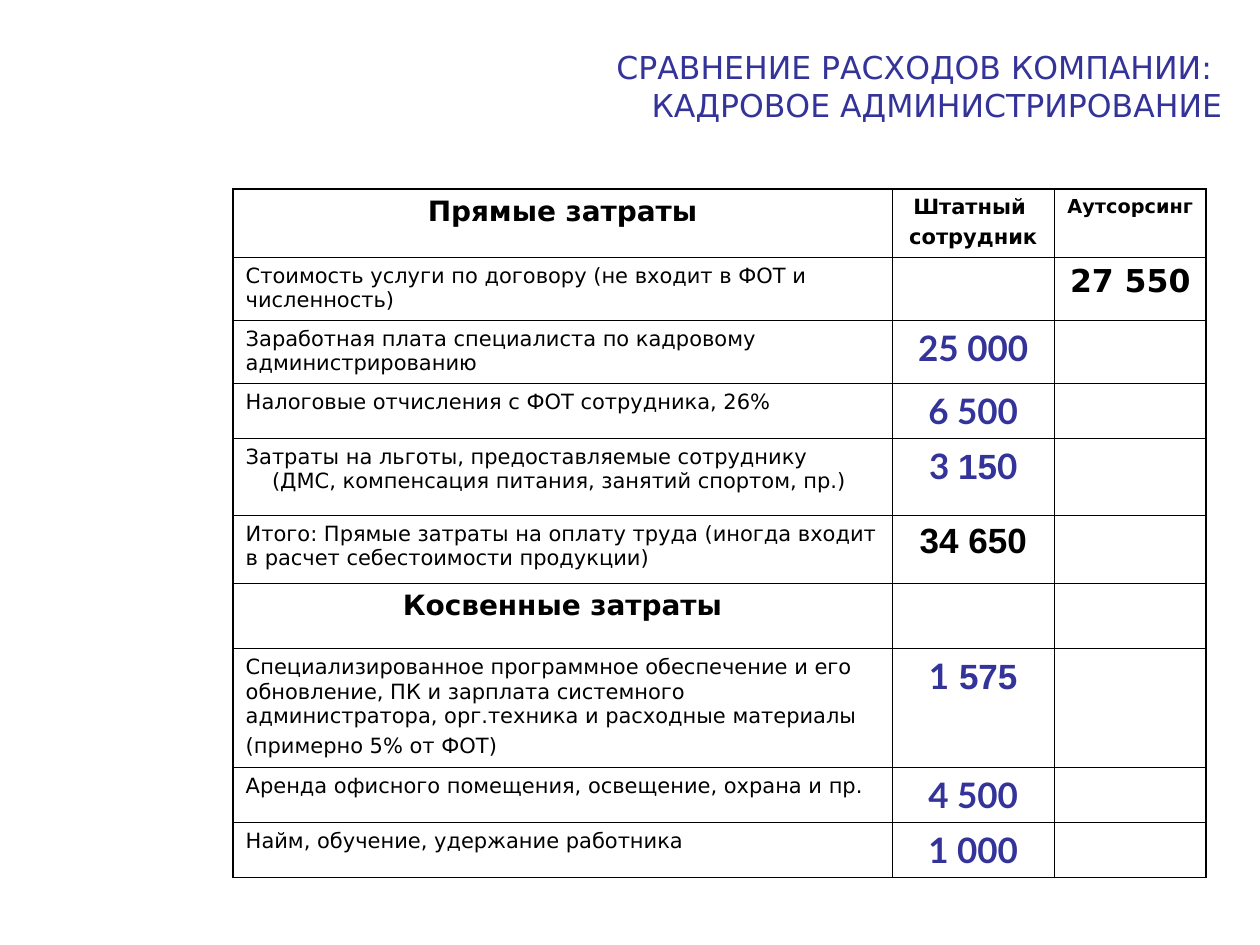
from lxml import etree
from pptx import Presentation
from pptx.dml.color import RGBColor
from pptx.enum.text import MSO_ANCHOR, PP_ALIGN
from pptx.oxml.ns import qn
from pptx.util import Cm, Pt

LEFT, CENTER, RIGHT = PP_ALIGN.LEFT, PP_ALIGN.CENTER, PP_ALIGN.RIGHT
MIDDLE = MSO_ANCHOR.MIDDLE

COLORS = {"accent": "333399", "ink": "000000"}
SANS, LATO, ARIAL = "DejaVu Sans", "Lato", "Arial"
STYLES = {
    "title": (18, False, "accent", RIGHT),
    "section": (16, True, "ink", CENTER),
    "staff": (12, True, "ink", CENTER),
    "outsourcing": (11, True, "ink", CENTER),
    "item": (12, False, "ink", LEFT),
    "price": (18, True, "ink", CENTER),
    "cost": (20, True, "accent", CENTER),
    "total": (20, True, "ink", CENTER),
}

TITLE = "СРАВНЕНИЕ РАСХОДОВ КОМПАНИИ: \vКАДРОВОЕ АДМИНИСТРИРОВАНИЕ"
BENEFITS_NOTE = "(ДМС, компенсация питания, занятий спортом, пр.)"
COLUMN_WIDTHS = [13.28, 3.28, 3.05]


def cell_text(style, *paragraphs, font=SANS):
    return style, [[(p, font)] if isinstance(p, str) else p for p in paragraphs]


ROWS = [
    (1.37, [cell_text("section", "Прямые затраты"),
            cell_text("staff", "Штатный ", "сотрудник"),
            cell_text("outsourcing", "Аутсорсинг")]),
    (1.27, [cell_text("item", "Стоимость услуги по договору (не входит в ФОТ и численность)"),
            None,
            cell_text("price", "27 550")]),
    (1.27, [cell_text("item", "Заработная плата специалиста по кадровому администрированию"),
            cell_text("cost", "25 000", font=LATO)]),
    (1.11, [cell_text("item", "Налоговые отчисления с ФОТ сотрудника, 26%"),
            cell_text("cost", "6 500", font=LATO)]),
    (1.55, [cell_text("item", "Затраты на льготы, предоставляемые сотруднику", BENEFITS_NOTE),
            cell_text("cost", [("3 ", LATO), ("15", ARIAL), ("0", LATO)])]),
    (1.37, [cell_text("item", "Итого: Прямые затраты на оплату труда (иногда входит "
                              "в расчет себестоимости продукции)"),
            cell_text("total", "34 650", font=ARIAL)]),
    (1.32, [cell_text("section", "Косвенные затраты")]),
    (2.39, [cell_text("item", "Специализированное программное обеспечение и его обновление, "
                              "ПК и зарплата системного администратора, "
                              "орг.техника и расходные материалы",
                      "(примерно 5% от ФОТ)"),
            cell_text("cost", [("1", LATO), (" 575", ARIAL)])]),
    (1.11, [cell_text("item", "Аренда офисного помещения, освещение, охрана и пр."),
            cell_text("cost", "4 500", font=LATO)]),
    (1.11, [cell_text("item", "Найм, обучение, удержание работника"),
            cell_text("cost", "1 000", font=LATO)]),
]


def style_paragraph(paragraph, style):
    size, bold, color, alignment = STYLES[style]
    paragraph.alignment = alignment
    paragraph.font.size = Pt(size)
    paragraph.font.bold = bold
    paragraph.font.color.rgb = RGBColor.from_string(COLORS[color])


def write_cell(cell, style, paragraphs):
    frame = cell.text_frame
    for index, runs in enumerate(paragraphs):
        paragraph = frame.add_paragraph() if index else frame.paragraphs[0]
        style_paragraph(paragraph, style)
        if len({font for _, font in runs}) == 1:
            paragraph.font.name = runs[0][1]
        for text, font in runs:
            run = paragraph.add_run()
            run.text = text
            if paragraph.font.name is None:
                run.font.name = font
        if runs[0][0] == BENEFITS_NOTE:
            paragraph._p.get_or_add_pPr().set("marL", str(Cm(0.53)))
        elif index:
            paragraph.space_before = Pt(3)


def draw_borders(cell, outer_edges):
    properties = cell._tc.get_or_add_tcPr()
    for edge in ("lnL", "lnR", "lnT", "lnB"):
        width = Pt(1.08) if edge in outer_edges else Pt(0.45)
        line = etree.SubElement(properties, qn(f"a:{edge}"), w=str(width))
        fill = etree.SubElement(line, qn("a:solidFill"))
        etree.SubElement(fill, qn("a:srgbClr"), val=COLORS["ink"])


def add_title(slide):
    box = slide.shapes.add_textbox(Cm(4.09), Cm(0.76), Cm(20.8), Cm(1.96))
    frame = box.text_frame
    frame.word_wrap = True
    frame.vertical_anchor = MIDDLE
    frame.text = TITLE
    style_paragraph(frame.paragraphs[0], "title")
    frame.paragraphs[0].font.name = SANS


def add_cost_table(slide):
    heights = [height for height, _ in ROWS]
    table = slide.shapes.add_table(
        len(ROWS), len(COLUMN_WIDTHS), Cm(4.7), Cm(3.81),
        Cm(sum(COLUMN_WIDTHS)), Cm(sum(heights))).table
    table.first_row = table.horz_banding = False
    for column, width in zip(table.columns, COLUMN_WIDTHS):
        column.width = Cm(width)
    last_row, last_column = len(ROWS) - 1, len(COLUMN_WIDTHS) - 1
    for r, (height, contents) in enumerate(ROWS):
        table.rows[r].height = Cm(height)
        for c in range(len(COLUMN_WIDTHS)):
            cell = table.cell(r, c)
            on_edge = {"lnL": c == 0, "lnR": c == last_column,
                       "lnT": r == 0, "lnB": r == last_row}
            draw_borders(cell, [edge for edge, outer in on_edge.items() if outer])
            cell.fill.background()
            if c < len(contents) and contents[c]:
                write_cell(cell, *contents[c])


def main():
    presentation = Presentation()
    presentation.slide_width, presentation.slide_height = Cm(25.4), Cm(19.05)
    slide = presentation.slides.add_slide(presentation.slide_layouts[6])
    add_title(slide)
    add_cost_table(slide)
    presentation.save("out.pptx")


if __name__ == "__main__":
    main()
